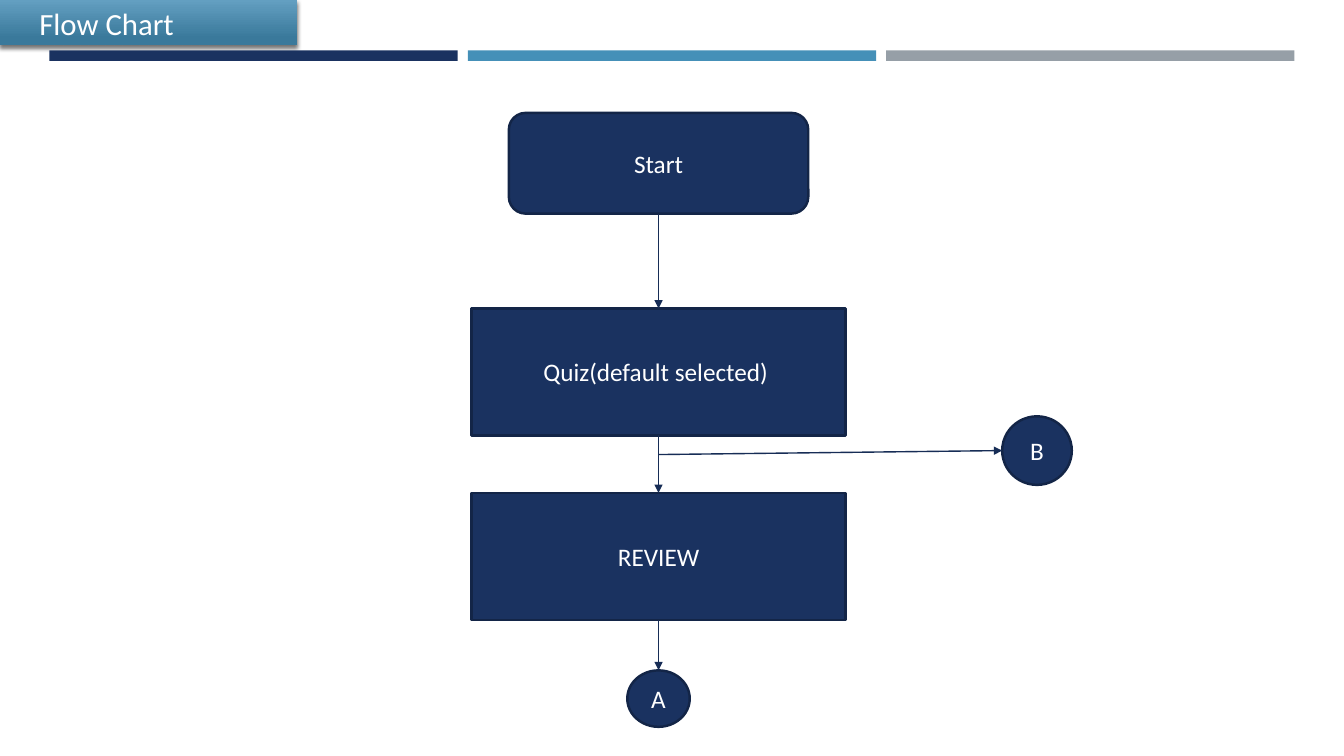
import pptx
import pptx.util
import pptx.dml.color
import pptx.enum.shapes
import pptx.enum.text
import pptx.oxml
import pptx.oxml.ns

RGB = pptx.dml.color.RGBColor.from_string
SHAPE = pptx.enum.shapes.MSO_SHAPE
ALIGN = pptx.enum.text.PP_ALIGN
MIDDLE = pptx.enum.text.MSO_ANCHOR.MIDDLE
NS = pptx.oxml.ns.nsdecls("a")

theme = {
    "font": "Calibri", "title_pt": 22, "node_pt": 18, "text": "FFFFFF",
    "navy": "1A3260", "blue": "4590B8", "grey": "969FA7",
    "edge": "132547", "edge_pt": 1.75, "arrow": "172D56", "arrow_pt": 1,
    "tab_top": "639FC1", "tab_bottom": "3A799B",
}

prs = pptx.Presentation()
prs.slide_width = pptx.util.Inches(13.33)
prs.slide_height = pptx.util.Inches(7.5)
s = prs.slides.add_slide(prs.slide_layouts[5])


def box(left, top, width, height):
    """Turn percentages of the slide into a rectangle."""
    W, H = prs.slide_width / 100, prs.slide_height / 100
    return [round(v) for v in (left * W, top * H, width * W, height * H)]


def write(sp, text, size, align):
    """Put one formatted, vertically centred line into a shape."""
    tf = sp.text_frame
    tf.word_wrap = True
    tf.vertical_anchor = MIDDLE
    p = tf.paragraphs[0]
    p.alignment = align
    r = p.add_run()
    r.text = text
    for name, value in {"name": theme["font"], "size": pptx.util.Pt(size), "bold": False}.items():
        setattr(r.font, name, value)
    r.font.color.rgb = RGB(theme["text"])


# Three bars across the top
for i, color in enumerate(("navy", "blue", "grey")):
    sp = s.shapes.add_shape(SHAPE.RECTANGLE, *box(3.68 + 31.13 * i, 6.67, 30.38, 1.4))
    sp.shadow.inherit = False
    sp.fill.solid()
    sp.fill.fore_color.rgb = RGB(theme[color])
    sp.line.fill.background()

# Title tab with gradient and soft shadow
title = s.shapes.title
title.left, title.top, title.width, title.height = box(0, 0, 22.13, 6)
title.fill.gradient()
title.fill.gradient_angle = 270
for stop, color, position in zip(title.fill.gradient_stops, ("tab_top", "tab_bottom"), (0, 0.84)):
    stop.color.rgb = RGB(theme[color])
    stop.position = position
title._element.spPr.append(pptx.oxml.parse_xml(
    f'<a:effectLst {NS}><a:outerShdw blurRad="38100" dist="25400" dir="5400000" rotWithShape="0">'
    '<a:srgbClr val="000000"><a:alpha val="55000"/></a:srgbClr></a:outerShdw></a:effectLst>'))
write(title, "Flow Chart", theme["title_pt"], ALIGN.LEFT)
tf = title.text_frame
tf.auto_size = pptx.enum.text.MSO_AUTO_SIZE.NONE
for side, inset in {"left": 0.39, "top": 0.06, "right": 0.06, "bottom": 0.06}.items():
    setattr(tf, f"margin_{side}", pptx.util.Inches(inset))

# Flow nodes: text, shape, centre x, top, width, height
axis = 49
nodes = {}
for key, text, kind, center, top, width, height in (
    ("start", "Start", SHAPE.ROUNDED_RECTANGLE, axis, 14.93, 22.28, 13.33),
    ("quiz", "Quiz(default selected) ", SHAPE.RECTANGLE, axis, 40.8, 27.83, 16.8),
    ("review", "REVIEW", SHAPE.RECTANGLE, axis, 65.2, 27.83, 16.8),
    ("b", "B", SHAPE.OVAL, 77.16, 55.07, 5.18, 9.07),
    ("a", "A", SHAPE.OVAL, axis, 88.67, 4.65, 7.47),
):
    sp = s.shapes.add_shape(kind, *box(center - width / 2, top, width, height))
    sp.shadow.inherit = False
    sp.fill.solid()
    sp.fill.fore_color.rgb = RGB(theme["navy"])
    sp.line.color.rgb = RGB(theme["edge"])
    sp.line.width = pptx.util.Pt(theme["edge_pt"])
    write(sp, text, theme["node_pt"], ALIGN.CENTER)
    nodes[key] = sp

# Arrows down the axis, joined to the nodes
arrows = []
for upper, lower in (("start", "quiz"), ("quiz", "review"), ("review", "a")):
    c = s.shapes.add_connector(pptx.enum.shapes.MSO_CONNECTOR.STRAIGHT, 0, 0, 0, 0)
    c.begin_connect(nodes[upper], 2)
    c.end_connect(nodes[lower], 0)
    arrows.append(c)

# Branch from the axis to B
b = nodes["b"]
x, y, _, _ = box(axis, 60.13, 0, 0)
arrows.append(s.shapes.add_connector(
    pptx.enum.shapes.MSO_CONNECTOR.STRAIGHT, x, y, b.left, b.top + b.height // 2))

# Arrow look
for c in arrows:
    c.line.color.rgb = RGB(theme["arrow"])
    c.line.width = pptx.util.Pt(theme["arrow_pt"])
    c.line._get_or_add_ln().append(pptx.oxml.parse_xml(f'<a:tailEnd {NS} type="triangle"/>'))
    c._element.spPr.append(pptx.oxml.parse_xml(f"<a:effectLst {NS}/>"))

prs.save("out.pptx")
